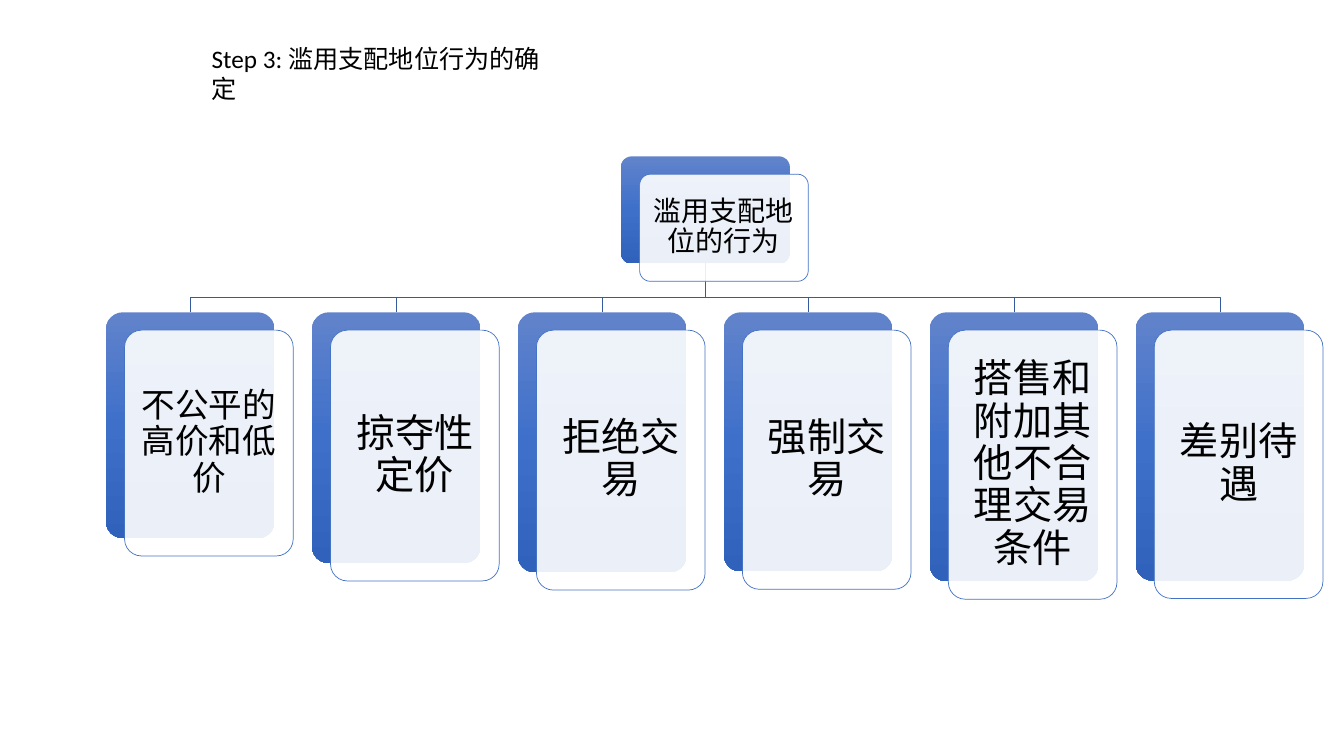
from copy import deepcopy
from pptx import Presentation
from pptx.dml.color import RGBColor as Rgb
from pptx.enum.shapes import MSO_SHAPE as Kind
from pptx.enum.text import MSO_ANCHOR as Anchor, MSO_AUTO_SIZE as Fit, PP_ALIGN as Align
from pptx.oxml.ns import qn
from pptx.util import Cm, Pt

COLORS = {
    "top": "6183CB", "mid": "3E70CA", "low": "3062BB",
    "edge": "4472C4", "link": "365B9D", "card": "FFFFFF", "text": "000000",
}
FONT = "Calibri"
WIDTH = 4.25
SHIFT = (0.47, 0.45)
LEFT, STEP, ROW = 2.67, 5.19, 7.87
ROOT = (15.65, 3.94, 2.7)
BEND = 7.49
ACTS = [
    ("不公平的高价和低价", 5.69, 24),
    ("掠夺性定价", 6.32, 28),
    ("拒绝交易", 6.55, 28),
    ("强制交易", 6.53, 28),
    ("搭售和附加其他不合理交易条件", 6.78, 28),
    ("差别待遇", 6.76, 28),
]


def color(name):
    return Rgb.from_string(COLORS[name])


def style(para, size, align):
    para.alignment = align
    para.font.name = FONT
    para.font.size = Pt(size)
    para.font.color.rgb = color("text")


def add_title(slide, text):
    title = slide.shapes.title
    title.left, title.top = Cm(5.08), Cm(0.97)
    title.width, title.height = Cm(8.94), Cm(1.8)
    frame = title.text_frame
    frame.text = text
    frame.word_wrap = True
    frame.auto_size = Fit.NONE
    frame.vertical_anchor = Anchor.TOP
    para = frame.paragraphs[0]
    style(para, 18, Align.LEFT)
    para.line_spacing = 1.0
    para.space_before = Pt(0)


def add_link(slide, start, end):
    x, y = start
    path = slide.shapes.build_freeform(Cm(x), Cm(y))
    points = [(x, BEND), (end, BEND), (end, ROW)]
    path.add_line_segments([(Cm(a), Cm(b)) for a, b in points], close=False)
    link = path.convert_to_shape()
    link.shadow.inherit = False
    link.fill.background()
    link.line.color.rgb = color("link")
    link.line.width = Pt(0.5)


def add_box(slide, x, y, height):
    box = slide.shapes.add_shape(
        Kind.ROUNDED_RECTANGLE, Cm(x), Cm(y), Cm(WIDTH), Cm(height))
    box.adjustments[0] = 0.1
    box.shadow.inherit = False
    return box


def add_back(slide, x, y, height):
    back = add_box(slide, x, y, height)
    back.line.fill.background()
    back.fill.gradient()
    stops = back._element.spPr.find(".//" + qn("a:gsLst"))
    stops.append(deepcopy(stops[-1]))
    for i, name in enumerate(("top", "mid", "low")):
        stop = back.fill.gradient_stops[i]
        stop.position = i / 2
        stop.color.rgb = color(name)
    back.fill.gradient_angle = 270


def add_card(slide, x, y, height, text, size):
    card = add_box(slide, x, y, height)
    card.fill.solid()
    card.fill.fore_color.rgb = color("card")
    tint = card._element.spPr.find(qn("a:solidFill"))[0]
    tint.makeelement(qn("a:alpha"), {})
    alpha = tint.makeelement(qn("a:alpha"), {"val": "90000"})
    tint.append(alpha)
    card.line.color.rgb = color("edge")
    card.line.width = Pt(0.5)
    frame = card.text_frame
    frame.text = text
    frame.word_wrap = True
    frame.vertical_anchor = Anchor.MIDDLE
    pad = Cm(size * 0.01)
    frame.margin_left = frame.margin_right = pad
    frame.margin_top = frame.margin_bottom = pad
    para = frame.paragraphs[0]
    style(para, size, Align.CENTER)
    para.line_spacing = 0.9


def add_node(slide, x, y, height, text, size):
    add_back(slide, x, y, height)
    add_card(slide, x + SHIFT[0], y + SHIFT[1], height, text, size)


def main():
    deck = Presentation()
    deck.slide_width, deck.slide_height = Cm(33.87), Cm(19.05)
    slide = deck.slides.add_slide(deck.slide_layouts[5])
    add_title(slide, "Step 3: 滥用支配地位行为的确定")
    x, y, height = ROOT
    spots = [LEFT + i * STEP for i in range(len(ACTS))]
    for spot in reversed(spots):
        add_link(slide, (x + WIDTH / 2, y + height), spot + WIDTH / 2)
    add_node(slide, x, y, height, "滥用支配地位的行为", 20)
    for spot, (text, tall, size) in zip(spots, ACTS):
        add_node(slide, spot, ROW, tall, text, size)
    deck.save("out.pptx")


if __name__ == "__main__":
    main()
